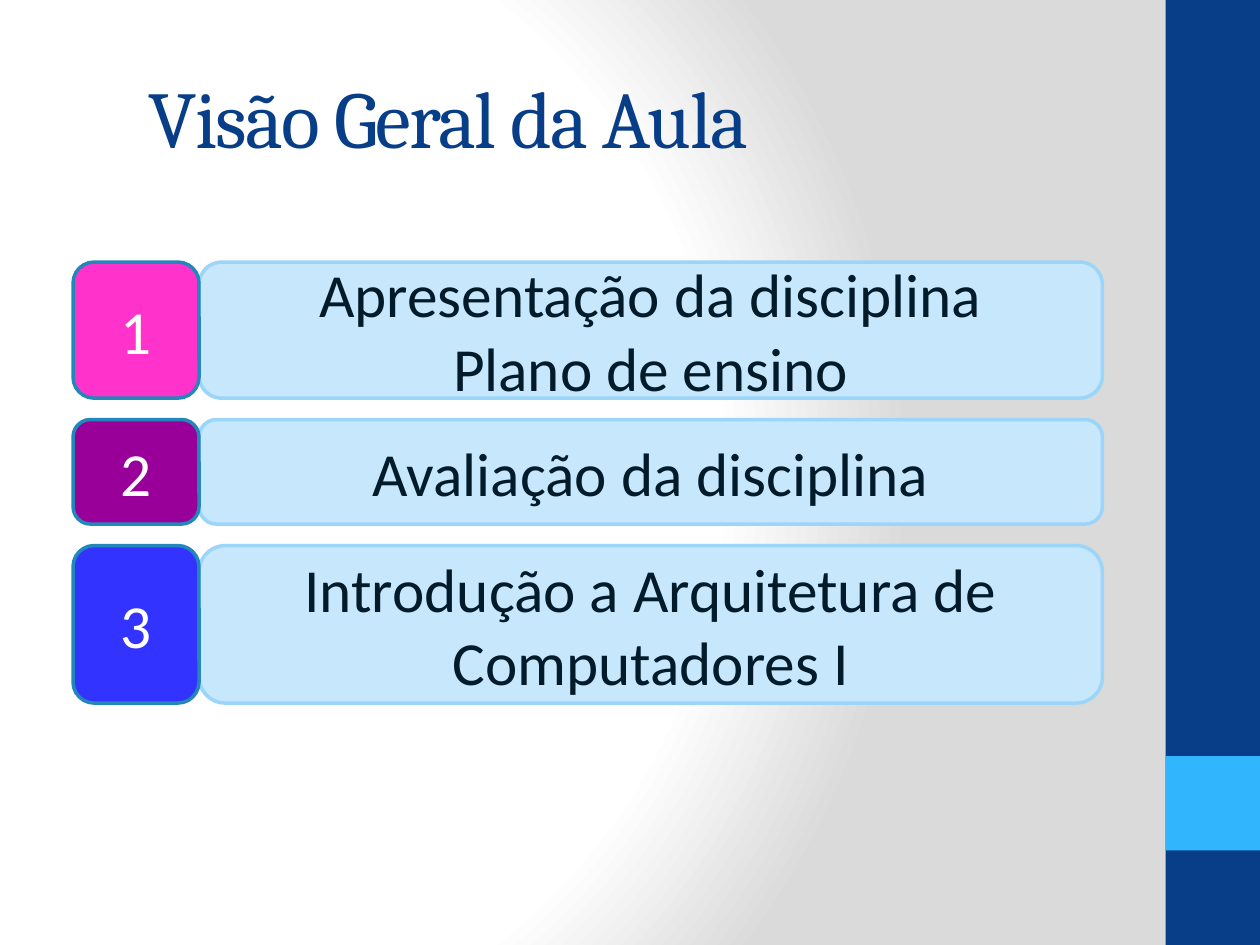
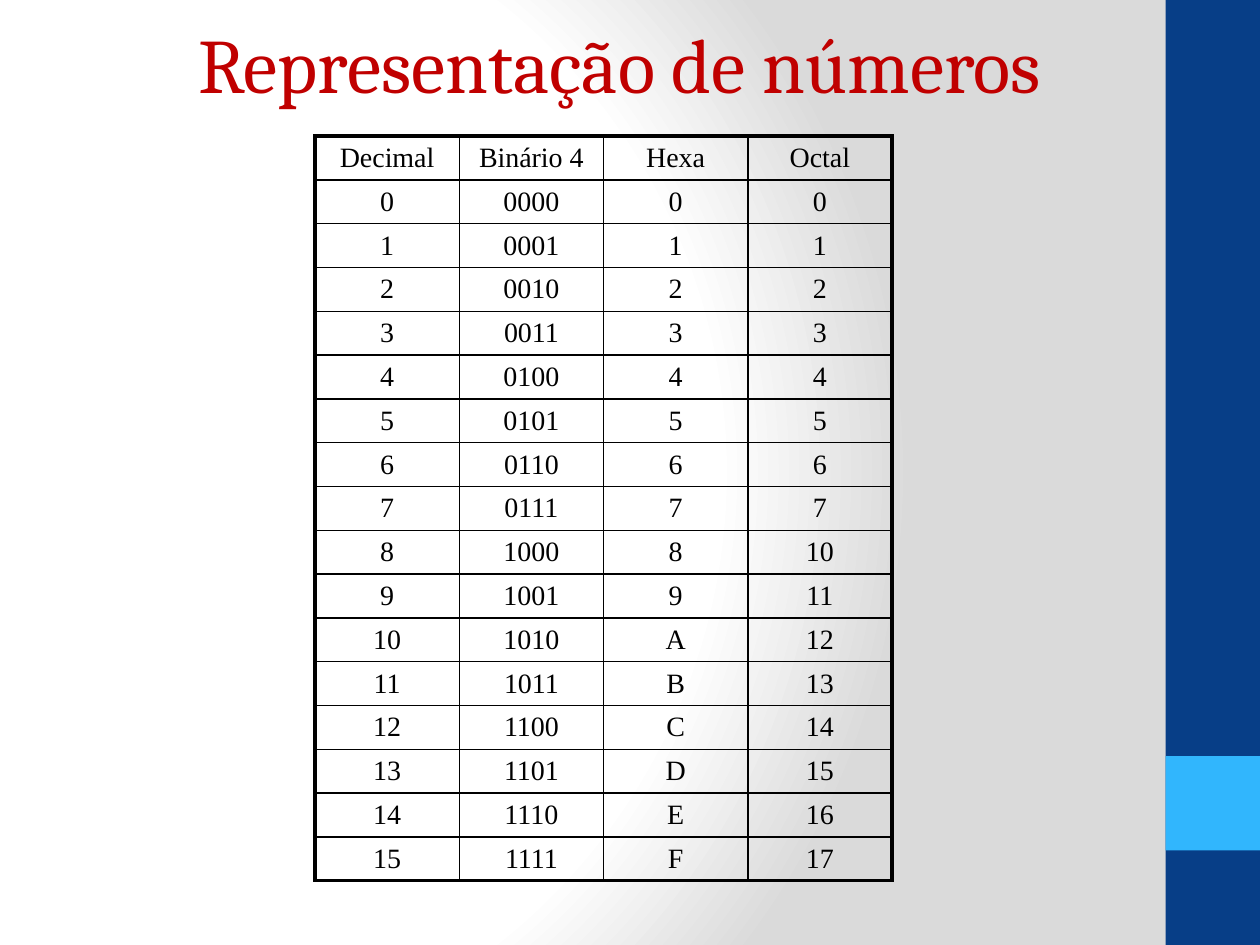
import pptx
import pptx.dml.color
import pptx.enum.shapes
import pptx.enum.text
import pptx.oxml
import pptx.oxml.ns
import pptx.util
from pptx.util import Inches

# Content
OVERVIEW_TITLE = "Visão Geral da Aula"
TOPICS = [  # text, height, number colour
    ("Apresentação da disciplina\nPlano de ensino", 1.08, "FF33CC"),
    ("Avaliação da disciplina", 0.83, "990099"),
    ("Introdução a Arquitetura de Computadores I", 1.25, "3333FF"),
]
NUMBERS_TITLE = "Representação de números"
NUMBER_ROWS = [("Decimal", "Binário 4", "Hexa", "Octal")] + [
    (str(n), f"{n:04b}", f"{n:X}", f"{n:o}") for n in range(16)
]

# Shared look
NAVY, SKY, RED, BLACK, WHITE = "073E87", "31B6FD", "C00000", "000000", "FFFFFF"
TOPIC_FILL, TOPIC_LINE, TOPIC_TEXT, NUMBER_LINE = "C6E7FC", "9BD5FA", "021B2B", "2487BB"
BANDS = [(0, 7.5, NAVY), (6, 0.75, SKY)]  # top, height, colour
BACKGROUND_STOPS = [(0, WHITE), (75, WHITE), (100, "DADADA")]
CENTER = pptx.enum.text.PP_ALIGN.CENTER
LEFT = pptx.enum.text.PP_ALIGN.LEFT
MIDDLE = pptx.enum.text.MSO_ANCHOR.MIDDLE
NAMESPACE = pptx.oxml.ns.nsdecls("a")


def color(value):
    return pptx.dml.color.RGBColor.from_string(value)


def format_text(frame, font, size, text_color, align=CENTER):
    for para in frame.paragraphs:
        para.alignment = align
        for span in para.runs:
            span.font.name = font
            span.font.size = pptx.util.Pt(size)
            span.font.color.rgb = color(text_color)


def add_box(slide, kind, place, fill, line=None):
    box = slide.shapes.add_shape(kind, *map(Inches, place))
    box.shadow.inherit = False
    box.fill.solid()
    box.fill.fore_color.rgb = color(fill)
    if line:
        box.line.color.rgb = color(line)
        box.line.width = pptx.util.Pt(2)
    else:
        box.line.fill.background()
    return box


def add_topic_box(slide, text, place, fill, line, text_color):
    box = add_box(slide, pptx.enum.shapes.MSO_SHAPE.ROUNDED_RECTANGLE, place, fill, line)
    frame = box.text_frame
    frame.text = text
    frame.word_wrap = True
    frame.vertical_anchor = MIDDLE
    format_text(frame, "Calibri", 35, text_color)


def set_title(slide, text, place, size, text_color, align):
    title = slide.shapes.title
    title.left, title.top, title.width, title.height = map(Inches, place)
    frame = title.text_frame
    frame.text = text
    frame.word_wrap = True
    frame.auto_size = pptx.enum.text.MSO_AUTO_SIZE.NONE
    frame.vertical_anchor = MIDDLE
    format_text(frame, "Cambria", size, text_color, align)
    return title


def style_master(master, slide):
    # Radial background
    fill = master.background.fill
    fill.solid()
    stops = "".join(
        f'<a:gs pos="{position * 1000}"><a:srgbClr val="{value}"/></a:gs>'
        for position, value in BACKGROUND_STOPS
    )
    gradient = pptx.oxml.parse_xml(
        f'<a:gradFill {NAMESPACE} rotWithShape="1"><a:gsLst>{stops}</a:gsLst>'
        '<a:path path="circle"><a:fillToRect l="20000" t="50000" r="100000" b="50000"/>'
        "</a:path></a:gradFill>"
    )
    solid = master.element.find(".//" + pptx.oxml.ns.qn("p:bgPr"))[0]
    solid.getparent().replace(solid, gradient)

    # Side bands, moved from the slide to the back of the master
    tree = master.shapes.element if hasattr(master.shapes, "element") else master.shapes._spTree
    for index, (top, height, fill_color) in enumerate(BANDS):
        band = add_box(slide, pptx.enum.shapes.MSO_SHAPE.RECTANGLE,
                       (9.25, top, 0.75, height), fill_color)
        tree.insert(2 + index, band.element)


def set_borders(cell, widths):
    properties = cell._tc.get_or_add_tcPr()
    for index, (side, width) in enumerate(widths.items()):
        properties.insert(index, pptx.oxml.parse_xml(
            f'<a:ln{side} {NAMESPACE} w="{int(pptx.util.Pt(width))}"><a:solidFill>'
            f'<a:srgbClr val="{BLACK}"/></a:solidFill></a:ln{side}>'
        ))


def build_overview(slide):
    title = set_title(slide, OVERVIEW_TITLE, (1.08, 0.3, 7.75, 1.25), 46, NAVY, LEFT)
    title.text_frame.paragraphs[0].runs[0].font._element.set("spc", "-100")
    top, gap = 2.08, 0.17
    for number, (text, height, number_color) in enumerate(TOPICS, 1):
        add_topic_box(slide, text, (1.58, top, 7.17, height),
                      TOPIC_FILL, TOPIC_LINE, TOPIC_TEXT)
        add_topic_box(slide, str(number), (0.58, top, 1, height),
                      number_color, NUMBER_LINE, WHITE)
        top += height + gap


def build_numbers(slide):
    set_title(slide, NUMBERS_TITLE, (0.42, 0.08, 9, 0.83), 44, RED, CENTER)
    last_row, last_column = len(NUMBER_ROWS) - 1, len(NUMBER_ROWS[0]) - 1
    table = slide.shapes.add_table(last_row + 1, last_column + 1, Inches(2.5), Inches(1.08),
                                   Inches(4.58), Inches(5.91)).table
    table.first_row = table.horz_banding = False
    for r, values in enumerate(NUMBER_ROWS):
        for c, value in enumerate(values):
            cell = table.cell(r, c)
            cell.text = value
            cell.vertical_anchor = MIDDLE
            cell.margin_top = cell.margin_bottom = Inches(0.03)
            cell.fill.background()
            format_text(cell.text_frame, "Times New Roman", 16, BLACK)
            # Thick frame, thin inner lines
            outer = {"L": c == 0, "R": c == last_column, "T": r == 0, "B": r == last_row}
            set_borders(cell, {side: 2.25 if edge else 1 for side, edge in outer.items()})


def main():
    deck = pptx.Presentation()
    deck.slide_width, deck.slide_height = Inches(10), Inches(7.5)
    title_only = deck.slide_layouts[5]
    overview = deck.slides.add_slide(title_only)
    style_master(deck.slide_master, overview)
    build_overview(overview)
    build_numbers(deck.slides.add_slide(title_only))
    deck.save("out.pptx")


if __name__ == "__main__":
    main()
